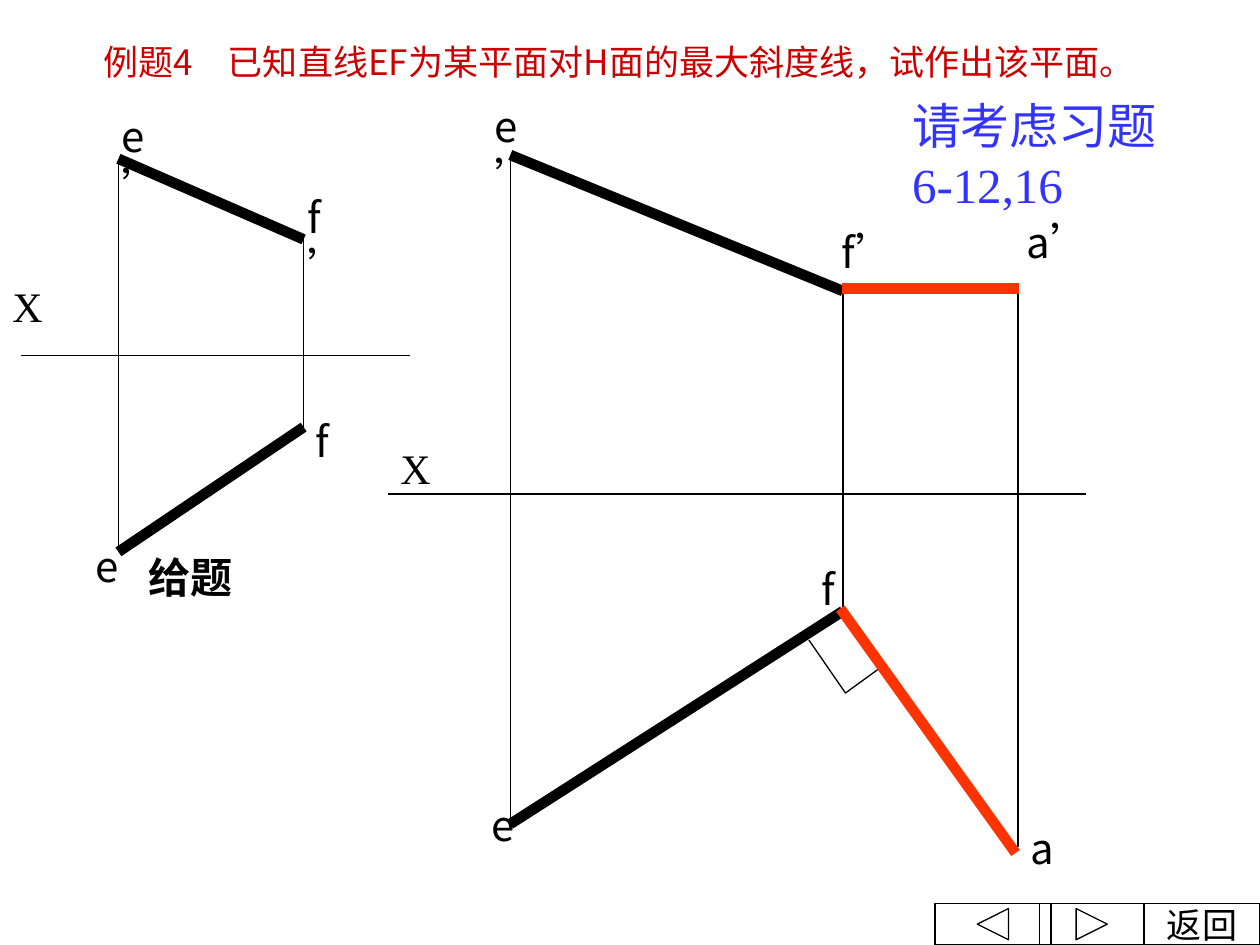
"""Build the slide that solves a steepest-line exercise in two projections."""
from dataclasses import dataclass

import pptx
import pptx.dml.color
import pptx.enum.shapes
import pptx.enum.text
import pptx.oxml
import pptx.oxml.ns
import pptx.util
from pptx.util import Inches


@dataclass(frozen=True)
class Theme:
    """Colours, fonts, type sizes and line weights."""
    black: str = "000000"
    title: str = "CC0000"
    note: str = "3333FF"
    answer: str = "FF3300"
    sans: str = "Noto Sans CJK SC"
    title_font: str = "Noto Sans CJK JP"
    serif: str = "Times New Roman"
    small: int = 20
    medium: int = 24
    large: int = 28
    thin: float = 0.75
    thick: float = 6


THEME = Theme()


def colour(value):
    """Return a colour object for a hexadecimal value."""
    return pptx.dml.color.RGBColor.from_string(value)


def format_text(frame, font, size, text_colour, bold=False):
    """Apply one typeface, size and colour to all the text of a frame."""
    asian = THEME.sans if font == THEME.serif else font
    for para in frame.paragraphs:
        para.space_before = pptx.util.Pt(0)
        for span in para.runs:
            span.font.name = font
            span.font.size = pptx.util.Pt(size)
            span.font.bold = bold
            span.font.color.rgb = colour(text_colour)
            latin = span.font._element.find(pptx.oxml.ns.qn("a:latin"))
            latin.addnext(pptx.oxml.parse_xml(
                f'<a:ea {pptx.oxml.ns.nsdecls("a")} typeface="{asian}"/>'))


def add_title(page, text):
    """Fill and place the title placeholder."""
    title = page.shapes.title
    title.left, title.top = Inches(0.25), Inches(0.32)
    title.width, title.height = Inches(9.33), Inches(0.39)
    frame = title.text_frame
    frame.text = text
    frame.margin_top = frame.margin_bottom = 0
    frame.vertical_anchor = pptx.enum.text.MSO_ANCHOR.TOP
    frame.auto_size = pptx.enum.text.MSO_AUTO_SIZE.NONE
    frame.paragraphs[0].alignment = pptx.enum.text.PP_ALIGN.CENTER
    format_text(frame, THEME.title_font, THEME.small, THEME.title)


def add_label(page, text, left, top, width, height=0.5, font=THEME.sans,
              size=THEME.medium, text_colour=THEME.black, bold=False, stacked=False):
    """Add a text box; a stacked one sets each character on its own line."""
    box = page.shapes.add_textbox(Inches(left), Inches(top), Inches(width), Inches(height))
    frame = box.text_frame
    frame.word_wrap = True
    frame.text = text
    if stacked:
        frame.margin_right = Inches(width - 0.25)
    format_text(frame, font, size, text_colour, bold)


def add_line(page, start, end, weight=THEME.thin, line_colour=THEME.black):
    """Draw a straight line between two points."""
    line = page.shapes.add_connector(
        pptx.enum.shapes.MSO_CONNECTOR.STRAIGHT,
        *(Inches(value) for value in (*start, *end)))
    line.line.width = pptx.util.Pt(weight)
    line.line.color.rgb = colour(line_colour)
    line._element.spPr.append(pptx.oxml.parse_xml(
        f'<a:effectLst {pptx.oxml.ns.nsdecls("a")}/>'))


def style_outline(shape):
    """Give a shape a thin outline without fill or shadow."""
    shape.shadow.inherit = False
    shape.fill.background()
    shape.line.width = pptx.util.Pt(THEME.thin)
    shape.line.color.rgb = colour(THEME.black)


def add_projection(page, left, right, front_e, front_f, top_f, top_e):
    """Draw both views of line EF with its projectors."""
    add_line(page, (left, front_e), (right, front_f), THEME.thick)
    add_line(page, (left, front_e), (left, top_e))
    add_line(page, (right, front_f), (right, top_f))
    add_line(page, (right, top_f), (left, top_e), THEME.thick)


def add_right_angle(page, points):
    """Draw the right-angle mark as an open outline."""
    start, *others = [(Inches(x), Inches(y)) for x, y in points]
    builder = page.shapes.build_freeform(*start)
    builder.add_line_segments(others, close=False)
    style_outline(builder.convert_to_shape())


def add_button(page, kind, left, width, text=""):
    """Add a navigation button along the bottom edge."""
    button = page.shapes.add_shape(
        kind, Inches(left), Inches(7.17), Inches(width), Inches(0.33))
    style_outline(button)
    if text:
        frame = button.text_frame
        frame.text = text
        frame.word_wrap = False
        frame.vertical_anchor = pptx.enum.text.MSO_ANCHOR.MIDDLE
        frame.paragraphs[0].alignment = pptx.enum.text.PP_ALIGN.CENTER
        format_text(frame, THEME.serif, THEME.small, THEME.black)


def add_given(page):
    """Draw the given problem on the left."""
    add_line(page, (0.17, 2.82), (3.25, 2.82))
    add_projection(page, 0.94, 2.41, 1.26, 1.9, 3.39, 4.38)
    add_label(page, "e", 0.66, 4.24, 0.98)
    add_label(page, "f", 2.41, 3.25, 0.56)
    add_label(page, "f’", 2.34, 1.47, 0.56, stacked=True)
    add_label(page, "e’", 0.87, 0.83, 0.56, stacked=True)
    add_label(page, "X", 0, 2.18, 0.43, font=THEME.serif)
    add_label(page, "给题", 1.08, 4.33, 0.92, font=THEME.serif, bold=True)


def add_solution(page):
    """Draw the solution on the right."""
    add_line(page, (3.08, 3.92), (8.62, 3.92))
    add_projection(page, 4.05, 6.69, 1.23, 2.31, 4.85, 6.54)
    add_right_angle(page, [(6.42, 5.08), (6.71, 5.5), (7, 5.29)])
    add_line(page, (6.67, 4.83), (8.06, 6.77), THEME.thick, THEME.answer)
    add_line(page, (8.08, 2.25), (8.08, 6.72))
    add_line(page, (6.68, 2.29), (8.09, 2.29), THEME.thick, THEME.answer)
    for text, left, top in (("f", 6.42, 4.42), ("f’", 6.58, 1.75), ("e", 3.8, 6.3),
                            ("a", 8.08, 6.48), ("a’", 8.05, 1.67)):
        add_label(page, text, left, top, 1.01)
    add_label(page, "e’", 3.83, 0.75, 0.5, stacked=True)
    add_label(page, "X", 3.08, 3.46, 0.41, font=THEME.serif)


def main():
    """Assemble and save the slide."""
    deck = pptx.Presentation()
    deck.slide_width, deck.slide_height = Inches(10), Inches(7.5)
    page = deck.slides.add_slide(deck.slide_layouts[5])
    add_given(page)
    add_solution(page)
    add_title(page, "例题4　已知直线EF为某平面对H面的最大斜度线，试作出该平面。")
    kinds = pptx.enum.shapes.MSO_SHAPE
    add_button(page, kinds.ACTION_BUTTON_CUSTOM, 9.08, 0.92, "返回")
    add_button(page, kinds.ACTION_BUTTON_BACK_OR_PREVIOUS, 7.42, 0.92)
    add_button(page, kinds.ACTION_BUTTON_FORWARD_OR_NEXT, 8.25, 0.83)
    add_label(page, "请考虑习题6-12,16", 7.14, 0.71, 2.18, 1.04,
              THEME.serif, THEME.large, THEME.note)
    deck.save("out.pptx")


if __name__ == "__main__":
    main()
